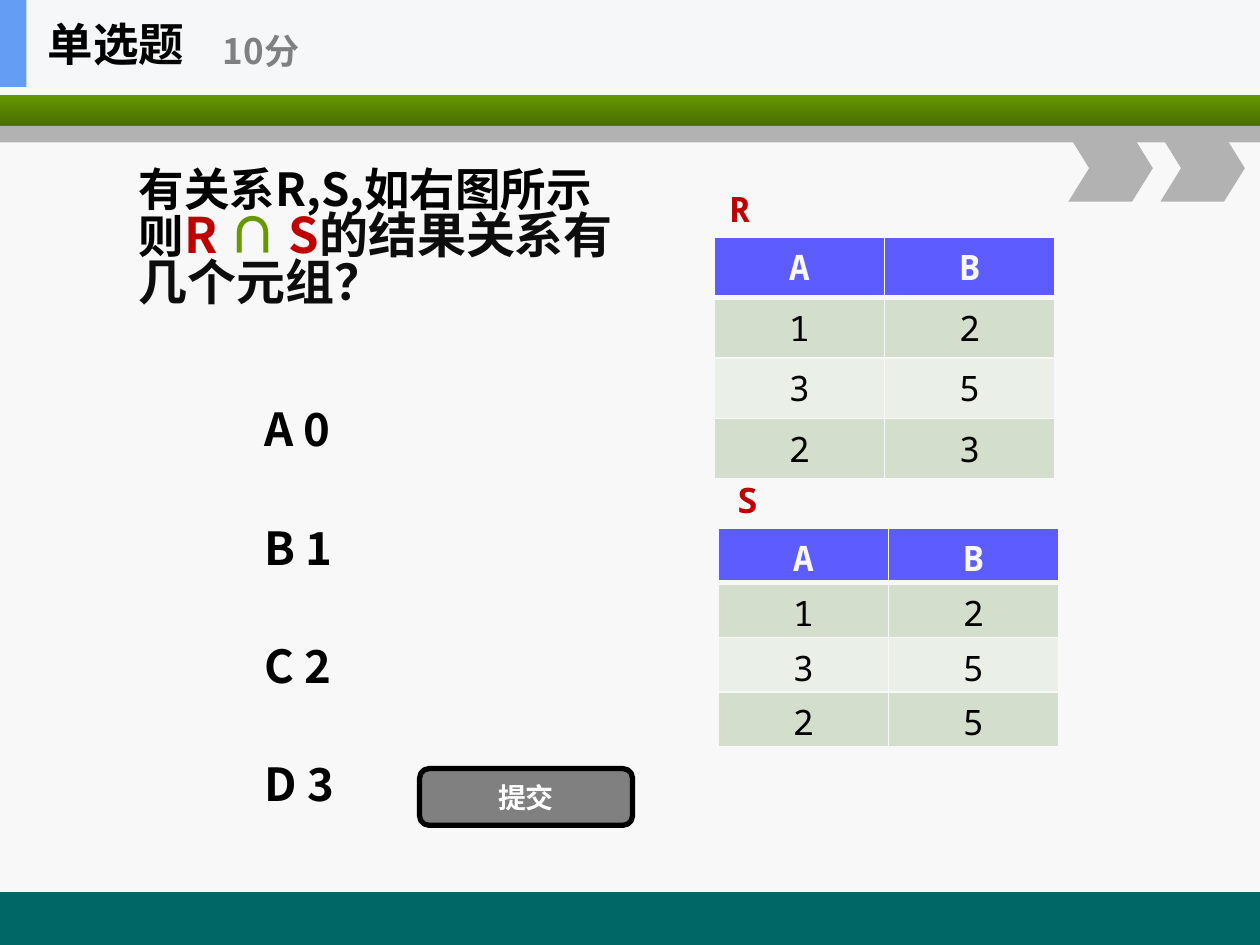
from typing import NamedTuple

import lxml.etree
import pptx
import pptx.dml.color
import pptx.enum.shapes
import pptx.enum.text
import pptx.oxml
import pptx.oxml.ns
import pptx.util

Inches = pptx.util.Inches
Pt = pptx.util.Pt
SHAPE = pptx.enum.shapes.MSO_SHAPE
ALIGN = pptx.enum.text.PP_ALIGN
ANCHOR = pptx.enum.text.MSO_ANCHOR
qn = pptx.oxml.ns.qn

SANS = "Noto Sans CJK SC"
MONO = "Noto Sans Mono"
COLORS = {
    "page": "F8F8F8", "teal": "006666", "green": "669900", "moss": "496D00",
    "silver": "B2B2B2", "gray": "808080", "black": "000000", "ink": "0D0D0D",
    "red": "C00000", "white": "FFFFFF", "head": "5C5CFF", "odd": "D3DECC",
    "even": "EAEFE7", "bar": "F6F7F8", "blue": "639EF4",
}


class Box(NamedTuple):
    left: float
    top: float
    width: float
    height: float


class Label(NamedTuple):
    text: str
    box: Box
    size: int = 26
    color: str = "black"
    face: str = SANS
    anchor: ANCHOR = ANCHOR.MIDDLE
    wrap: bool = False


class Grid(NamedTuple):
    left: float
    top: float
    row: float
    data: list


OPTIONS = ["A 0", "B 1", "C 2", "D 3"]
LABELS = [
    Label("R", Box(5.69, 1.44, 0.38, 0.44), 20, "red", MONO, ANCHOR.TOP),
    Label("S", Box(5.75, 3.75, 0.35, 0.44), 20, "red", MONO, ANCHOR.TOP),
    Label("单选题", Box(0.28, 0, 2.08, 0.69)),
    Label("10分", Box(1.67, 0.12, 2.5, 0.56), 20, "gray"),
] + [
    Label(text, Box(2, 3.05 + 0.94 * i, 7, 0.7), wrap=True)
    for i, text in enumerate(OPTIONS)
]
GRIDS = [
    Grid(5.67, 1.88, 0.48, ["AB", "12", "35", "23"]),
    Grid(5.7, 4.19, 0.43, ["AB", "12", "35", "25"]),
]
ASK = [
    [("有关系R,S,如右图所示", 26, "black")],
    [("则", 26, "black"), ("R", 28, "red"), (" ∩ ", 28, "green"),
     ("S", 28, "red"), ("的结果关系有", 28, "ink")],
    [("几个元组？", 28, "ink")],
]


def tint(name: str) -> pptx.dml.color.RGBColor:
    return pptx.dml.color.RGBColor.from_string(COLORS[name])


def place(box: Box) -> list:
    return [Inches(side) for side in box]


def style(para, size: int, color: str, face: str = SANS, bold: bool = True) -> None:
    font = para.font
    font.size, font.bold, font.name = Pt(size), bold, face
    font.color.rgb = tint(color)
    props = para._p.find(qn("a:pPr")).find(qn("a:defRPr"))
    east = lxml.etree.SubElement(props, qn("a:ea"))
    east.set("typeface", face)


def draw_shape(slide, kind: SHAPE, box: Box, color: str):
    shape = slide.shapes.add_shape(kind, *place(box))
    shape.shadow.inherit = False
    shape.fill.solid()
    shape.fill.fore_color.rgb = tint(color)
    shape.line.fill.background()
    return shape


def draw_label(slide, label: Label) -> None:
    frame = slide.shapes.add_textbox(*place(label.box)).text_frame
    frame.word_wrap = label.wrap
    frame.vertical_anchor = label.anchor
    para = frame.paragraphs[0]
    para.text = label.text
    para.alignment = ALIGN.LEFT
    style(para, label.size, label.color, label.face)


def edge(cell, base: int) -> None:
    props = cell._tc.get_or_add_tcPr()
    for i, side in enumerate(["lnL", "lnR", "lnT", "lnB"]):
        width = base if side == "lnB" else 1
        line = lxml.etree.Element(qn("a:" + side), w=str(Pt(width)))
        fill = lxml.etree.SubElement(line, qn("a:solidFill"))
        lxml.etree.SubElement(fill, qn("a:srgbClr"), val=COLORS["page"])
        props.insert(i, line)


def draw_grid(slide, grid: Grid) -> None:
    rows = len(grid.data)
    box = Box(grid.left, grid.top, 2.7, grid.row * rows)
    table = slide.shapes.add_table(rows, 2, *place(box)).table
    for r, line in enumerate(grid.data):
        table.rows[r].height = Inches(grid.row)
        for c, text in enumerate(line):
            cell = table.cell(r, c)
            para = cell.text_frame.paragraphs[0]
            para.text = text
            para.alignment = ALIGN.CENTER
            style(para, 20, "black" if r else "page", MONO, r == 0)
            cell.fill.solid()
            band = "odd" if r % 2 else "even"
            cell.fill.fore_color.rgb = tint(band if r else "head")
            edge(cell, 1 if r else 3)


def draw_frame(slide) -> None:
    draw_shape(slide, SHAPE.RECTANGLE, Box(0, 7.08, 10, 0.42), "teal")
    band = draw_shape(slide, SHAPE.RECTANGLE, Box(0, 0.75, 10, 0.25), "green")
    band.fill.gradient()
    band.fill.gradient_angle = 270
    for stop, name in zip(band.fill.gradient_stops, ["green", "moss"]):
        stop.color.rgb = tint(name)
    draw_shape(slide, SHAPE.RECTANGLE, Box(0, 1, 10, 0.13), "silver")
    for left in (8.48, 9.21):
        mark = draw_shape(slide, SHAPE.CHEVRON, Box(left, 1.07, 0.67, 0.53), "silver")
        mark.adjustments[0] = 0.31
    draw_shape(slide, SHAPE.RECTANGLE, Box(0, 0, 10, 0.69), "bar")
    draw_shape(slide, SHAPE.RECTANGLE, Box(0, 0, 0.21, 0.69), "blue")


def draw_title(slide) -> None:
    title = slide.shapes.title
    title.left, title.top, title.width, title.height = place(Box(1, 0.95, 8, 1.92))
    frame = title.text_frame
    frame.auto_size = pptx.enum.text.MSO_AUTO_SIZE.NONE
    frame.vertical_anchor = ANCHOR.MIDDLE
    for i, parts in enumerate(ASK):
        para = frame.add_paragraph() if i else frame.paragraphs[0]
        para.alignment = ALIGN.LEFT
        para.line_spacing = 0.8
        style(para, *parts[0][1:])
        for text, size, color in parts:
            run = para.add_run()
            run.text = text
            if len(parts) > 1:
                run.font.size = Pt(size)
                run.font.color.rgb = tint(color)


def draw_button(slide) -> None:
    button = draw_shape(slide, SHAPE.ROUNDED_RECTANGLE, Box(3.33, 6.1, 1.69, 0.45), "gray")
    button.line.color.rgb = tint("black")
    button.line.width = Pt(3)
    button.text_frame.vertical_anchor = ANCHOR.MIDDLE
    para = button.text_frame.paragraphs[0]
    para.text = "提交"
    para.alignment = ALIGN.CENTER
    style(para, 16, "white")


def main() -> None:
    deck = pptx.Presentation()
    deck.slide_width, deck.slide_height = Inches(10), Inches(7.5)
    slide = deck.slides.add_slide(deck.slide_layouts[5])
    slide.background.fill.solid()
    slide.background.fill.fore_color.rgb = tint("page")
    draw_frame(slide)
    draw_title(slide)
    for label in LABELS:
        draw_label(slide, label)
    draw_button(slide)
    for grid in GRIDS:
        draw_grid(slide, grid)
    deck.save("out.pptx")


if __name__ == "__main__":
    main()
